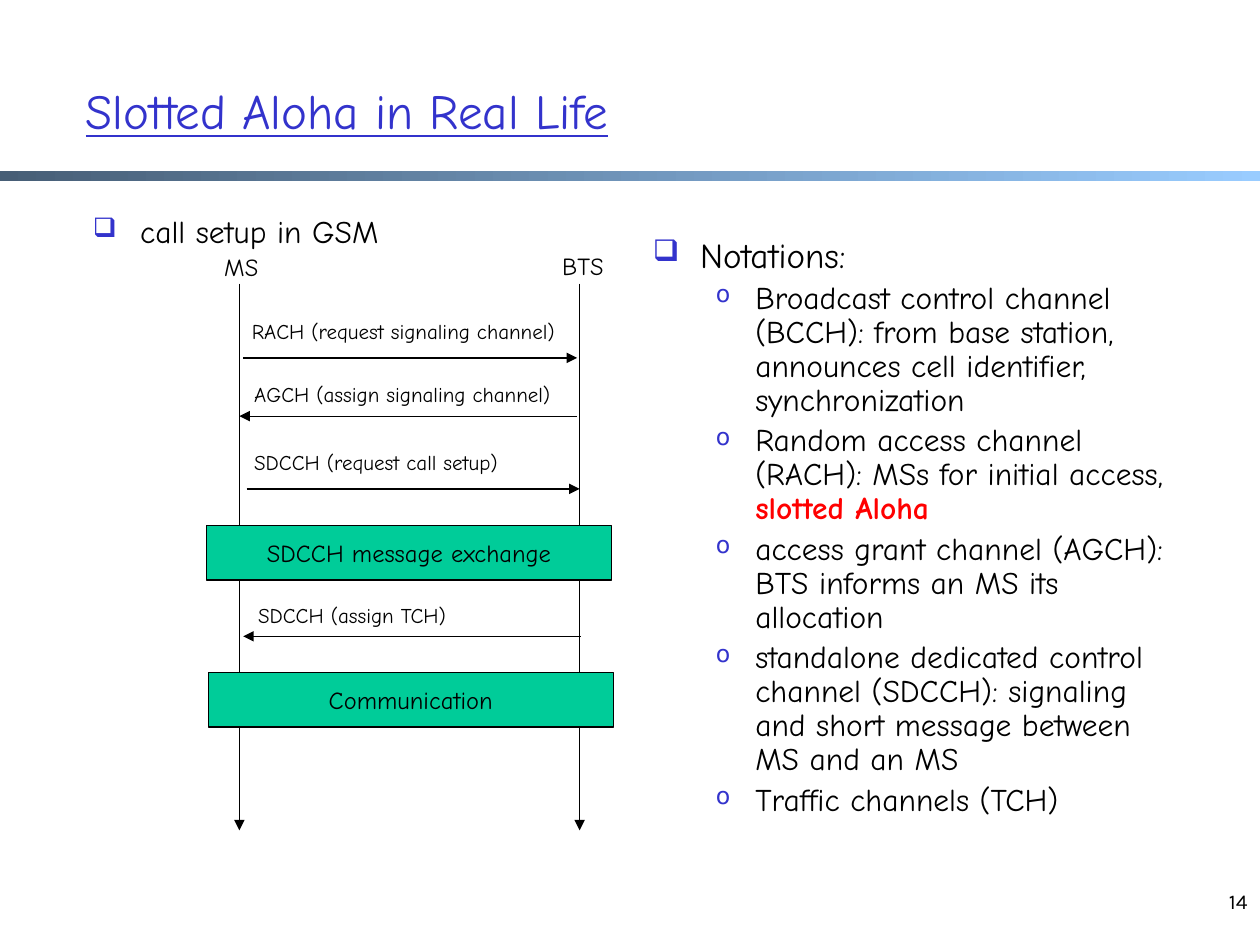
from lxml import etree
from pptx import Presentation
from pptx import util as u
from pptx.dml.color import RGBColor
from pptx.enum import shapes, text
from pptx.oxml.ns import qn

Pt = u.Pt
BLACK = RGBColor(0, 0, 0)
BLUE = RGBColor(0x33, 0x33, 0xCC)
RED = RGBColor(0xFF, 0, 0)
GREEN = RGBColor(0, 0xCC, 0x99)
BAR_DARK = RGBColor(0x47, 0x5E, 0x76)
BAR_LIGHT = RGBColor(0x99, 0xCC, 0xFF)
LEFT, CENTER, RIGHT = text.PP_ALIGN.LEFT, text.PP_ALIGN.CENTER, text.PP_ALIGN.RIGHT
TOP, MIDDLE = text.MSO_ANCHOR.TOP, text.MSO_ANCHOR.MIDDLE


def write(tf, *runs, size=12, color=BLACK, font="Comic Neue", align=LEFT, anchor=TOP,
          wrap=False, underline=None, new=False, bullet=None, bullet_size=75,
          margin=0, indent=0, before=0):
    """Write one paragraph; a run is a string or a (string, color) pair set in bold."""
    tf.word_wrap = wrap
    tf.vertical_anchor = anchor
    p = tf.add_paragraph() if new else tf.paragraphs[0]
    p.alignment = align
    if bullet:
        p.line_spacing = 0.9
        p.space_before = Pt(before)
        pPr = p._p.get_or_add_pPr()
        pPr.set("marL", str(Pt(margin)))
        pPr.set("indent", str(Pt(indent)))
        clr = etree.SubElement(pPr, qn("a:buClr"))
        etree.SubElement(clr, qn("a:srgbClr"), val=str(BLUE))
        etree.SubElement(pPr, qn("a:buSzPct"), val=str(bullet_size * 1000))
        etree.SubElement(pPr, qn("a:buChar"), char=bullet)
    for item in runs:
        words, accent = (item, None) if isinstance(item, str) else item
        r = p.add_run()
        r.text = words
        r.font.name, r.font.size = font, Pt(size)
        r.font.color.rgb = accent or color
        r.font.bold = bool(accent)
        r.font.underline = underline


def arrow(x1, y1, x2, y2):
    c = s.shapes.add_connector(shapes.MSO_CONNECTOR.STRAIGHT, Pt(x1), Pt(y1), Pt(x2), Pt(y2))
    c.line.color.rgb = BLACK
    c.line.width = Pt(0.75)
    etree.SubElement(c.line._get_or_add_ln(), qn("a:tailEnd"), type="triangle")
    etree.SubElement(c._element.spPr, qn("a:effectLst"))


prs = Presentation()
prs.slide_width, prs.slide_height = Pt(720), Pt(540)
s = prs.slides.add_slide(prs.slide_layouts[6])

# Gradient bar under the title
sp = s.shapes.add_shape(shapes.MSO_SHAPE.RECTANGLE, 0, Pt(97.9), Pt(720), Pt(5.8))
sp.shadow.inherit = False
sp.line.fill.background()
sp.fill.gradient()
sp.fill.gradient_angle = 0
for stop, color in zip(sp.fill.gradient_stops, (BAR_DARK, BAR_LIGHT)):
    stop.color.rgb = color

# Slide number and title
tf = s.shapes.add_textbox(Pt(552), Pt(504), Pt(168), Pt(36)).text_frame
write(tf, "14", font="Karla", align=RIGHT, wrap=True)
tf = s.shapes.add_textbox(Pt(42), Pt(18), Pt(631), Pt(90)).text_frame
write(tf, "Slotted Aloha in Real Life", size=28, color=BLUE, underline=True,
      anchor=MIDDLE, wrap=True)

# Notations
HEADING = dict(bullet="❑", bullet_size=85, margin=27, indent=-27, wrap=True)
tf = s.shapes.add_textbox(Pt(366), Pt(132.5), Pt(314.5), Pt(386)).text_frame
write(tf, "Notations:", size=20, **HEADING)
for runs in (
    ["Broadcast control channel (BCCH): from base station, announces cell identifier, "
     "synchronization"],
    ["Random access channel (RACH): MSs for initial access, ", ("slotted Aloha", RED)],
    ["access grant channel (AGCH): BTS informs an MS its allocation"],
    ["standalone dedicated control channel (SDCCH): signaling and short message between "
     "MS and an MS"],
    ["Traffic channels (TCH)"],
):
    write(tf, *runs, size=18, new=True, bullet="o", margin=58.5, indent=-22.5,
          before=3.6, wrap=True)

# Diagram heading
tf = s.shapes.add_textbox(Pt(46), Pt(120), Pt(300), Pt(366)).text_frame
write(tf, "call setup in GSM", size=18, **HEADING)

# Lifelines
for name, x, left, top, width in (("BTS", 331.2, 311.8, 139.7, 42.5),
                                  ("MS", 136.8, 119.5, 140.4, 36.7)):
    arrow(x, 162, x, 474.5)
    tf = s.shapes.add_textbox(Pt(left), Pt(top), Pt(width), Pt(24)).text_frame
    write(tf, name, size=14, align=CENTER)

# Messages: label, its left, top and width, then arrow start, end and height
for label, left, top, width, x1, x2, y in (
    ("RACH (request signaling channel)", 136.8, 178.6, 200, 139, 329.8, 204.5),
    ("AGCH (assign signaling channel)", 138.2, 214.6, 192, 329.8, 136.8, 237.8),
    ("SDCCH (request call setup)", 138.2, 253.4, 168.5, 141, 331.2, 279.4),
    ("SDCCH (assign TCH)", 140.4, 340.6, 130.3, 332, 139, 363.6),
):
    arrow(x1, y, x2, y)
    tf = s.shapes.add_textbox(Pt(left), Pt(top), Pt(width), Pt(21.6)).text_frame
    write(tf, label)

# Phases across both lifelines
for label, left, top in (("SDCCH message exchange", 118, 300.5),
                         ("Communication", 119, 384.5)):
    sp = s.shapes.add_shape(shapes.MSO_SHAPE.RECTANGLE, Pt(left), Pt(top), Pt(231.5), Pt(31))
    sp.shadow.inherit = False
    sp.fill.solid()
    sp.fill.fore_color.rgb = GREEN
    sp.line.color.rgb = BLACK
    sp.line.width = Pt(0.75)
    write(sp.text_frame, label, size=14, align=CENTER, anchor=MIDDLE)

prs.save("out.pptx")
